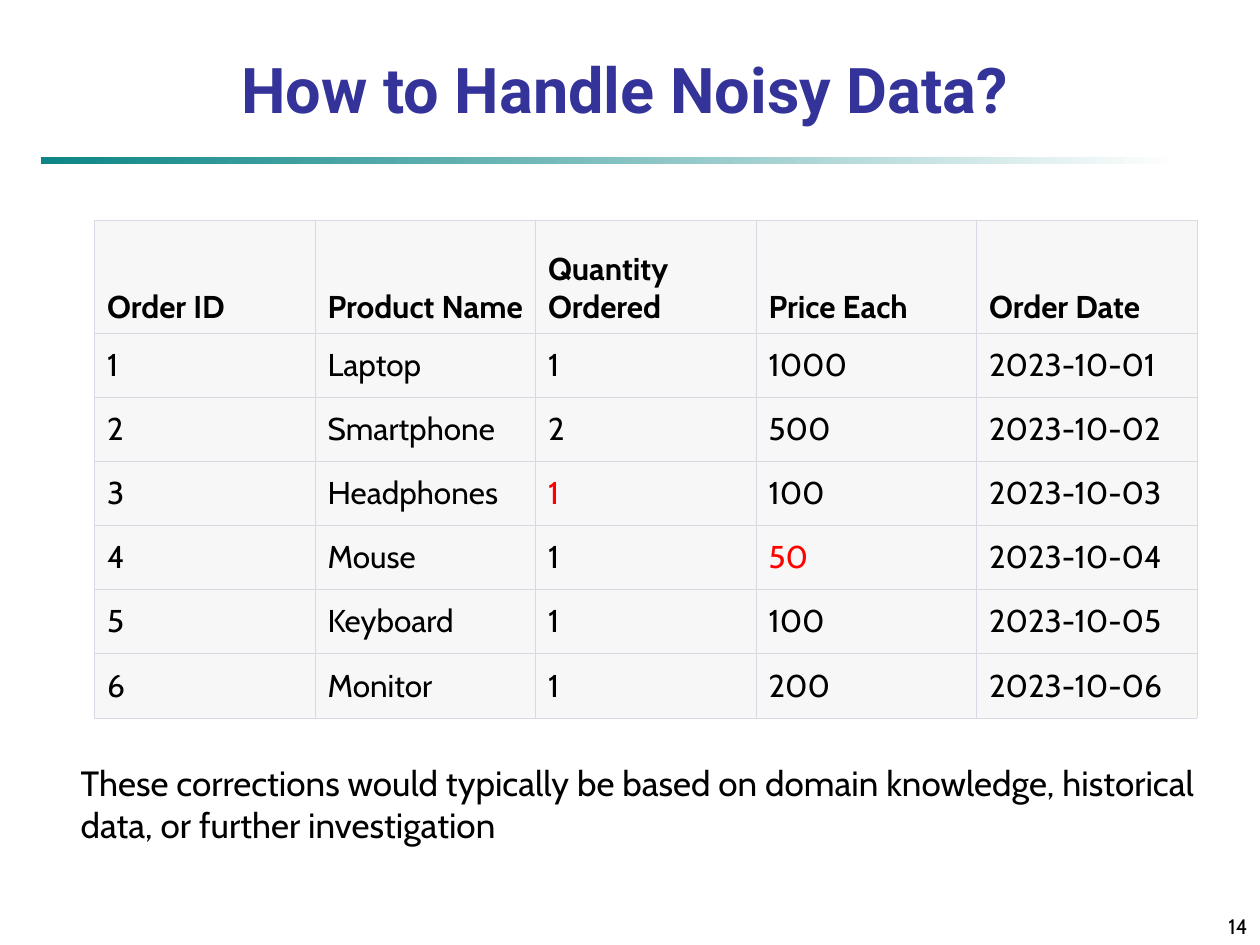
from lxml.etree import SubElement
from pptx import Presentation
from pptx.dml.color import RGBColor
from pptx.enum.shapes import MSO_SHAPE
from pptx.enum.text import MSO_ANCHOR as Anchor, MSO_AUTO_SIZE as AutoSize, PP_ALIGN as Align
from pptx.oxml import parse_xml
from pptx.oxml.ns import nsdecls, qn
from pptx.util import Pt

COLORS = {
    "title": "333399",
    "text": "000000",
    "corrected": "FF0000",
    "cell": "F7F7F8",
    "border": "D9D9E3",
    "rule": "008080",
    "fade": "FFFFFF",
}
HEADINGS = ["Order ID", "Product Name", "Quantity Ordered", "Price Each", "Order Date"]
ORDERS = [
    ("Laptop", 1, 1000),
    ("Smartphone", 2, 500),
    ("Headphones", 1, 100),
    ("Mouse", 1, 50),
    ("Keyboard", 1, 100),
    ("Monitor", 1, 200),
]
CORRECTED = {(3, 2), (4, 3)}


def rgb(name):
    return RGBColor.from_string(COLORS[name])


def add_run(paragraph, words, size, color="text", bold=False, font="Cabin"):
    run = paragraph.add_run()
    run.text = words
    run.font.size = Pt(size)
    run.font.name = font
    run.font.bold = bold
    run.font.color.rgb = rgb(color)


def add_title(slide, words):
    title = slide.shapes.title
    title.left, title.top, title.width, title.height = Pt(12), Pt(24), Pt(690), Pt(48)
    frame = title.text_frame
    frame.auto_size = AutoSize.NONE
    frame.vertical_anchor = Anchor.BOTTOM
    frame.margin_left = frame.margin_top = frame.margin_right = frame.margin_bottom = 0
    frame.paragraphs[0].alignment = Align.CENTER
    add_run(frame.paragraphs[0], words, 36, "title", True, "Roboto")


def add_rule(slide):
    rule = slide.shapes.add_shape(MSO_SHAPE.RECTANGLE, Pt(24), Pt(90), Pt(648), Pt(3.6))
    rule.shadow.inherit = False
    rule.line.fill.background()
    rule.fill.gradient()
    rule.fill.gradient_angle = 0
    for stop, color, position in zip(rule.fill.gradient_stops, ("rule", "fade"), (0, 1)):
        stop.color.rgb = rgb(color)
        stop.position = position
    start_color = rule.element.spPr.find(".//" + qn("a:srgbClr"))
    SubElement(start_color, qn("a:alpha"), val="95000")


def set_borders(cell, weight):
    properties = cell._tc.get_or_add_tcPr()
    for index, side in enumerate(("lnL", "lnR", "lnT", "lnB")):
        border = parse_xml(
            f'<a:{side} {nsdecls("a")} w="{Pt(weight)}"><a:solidFill>'
            f'<a:srgbClr val="{COLORS["border"]}"/></a:solidFill></a:{side}>'
        )
        properties.insert(index, border)


def add_orders(slide):
    rows = [HEADINGS] + [
        (number, *order, f"2023-10-{number:02}") for number, order in enumerate(ORDERS, 1)
    ]
    table = slide.shapes.add_table(
        len(rows), len(HEADINGS), Pt(54), Pt(126), Pt(630), Pt(284.4)
    ).table
    for r, values in enumerate(rows):
        heading = r == 0
        table.rows[r].height = Pt(64.3 if heading else 36.68)
        for c, value in enumerate(values):
            cell = table.cell(r, c)
            cell.fill.solid()
            cell.fill.fore_color.rgb = rgb("cell")
            cell.vertical_anchor = Anchor.BOTTOM if heading else Anchor.MIDDLE
            set_borders(cell, 0.4)
            color = "corrected" if (r, c) in CORRECTED else "text"
            add_run(cell.text_frame.paragraphs[0], str(value), 18, color, heading)


def add_text(slide, words, box, size, align=Align.LEFT, anchor=Anchor.TOP):
    frame = slide.shapes.add_textbox(*map(Pt, box)).text_frame
    frame.word_wrap = True
    frame.vertical_anchor = anchor
    frame.paragraphs[0].alignment = align
    add_run(frame.paragraphs[0], words, size)


def main():
    deck = Presentation()
    deck.slide_width, deck.slide_height = Pt(720), Pt(540)
    slide = deck.slides.add_slide(deck.slide_layouts[5])
    add_rule(slide)
    add_title(slide, "How to Handle Noisy Data?")
    add_orders(slide)
    add_text(slide, "14", (570, 510, 150, 30), 12, Align.RIGHT, Anchor.BOTTOM)
    add_text(
        slide,
        "These corrections would typically be based on domain knowledge, "
        "historical data, or further investigation",
        (39, 431.4, 660, 55.7),
        20,
    )
    deck.save("out.pptx")


if __name__ == "__main__":
    main()
